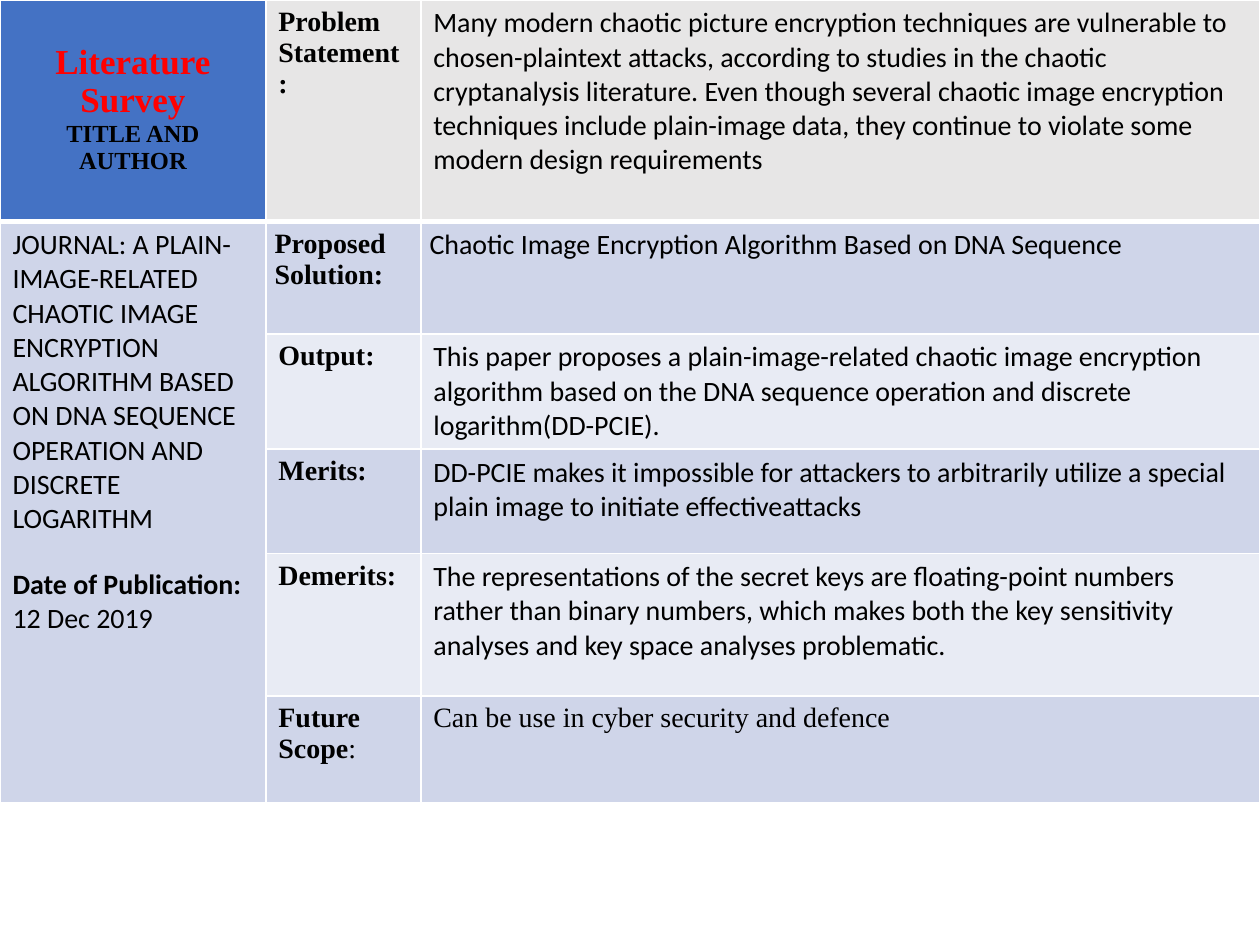
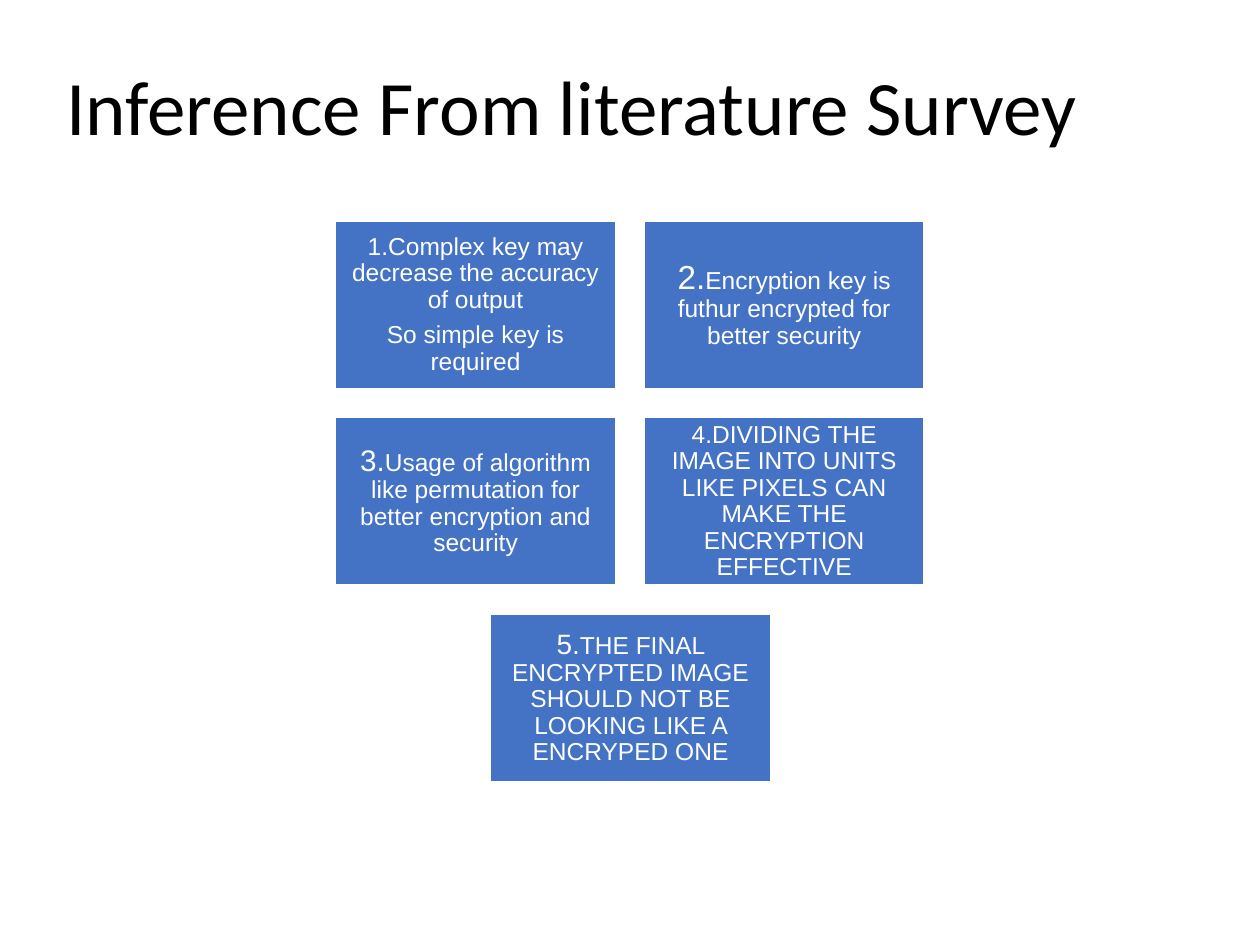
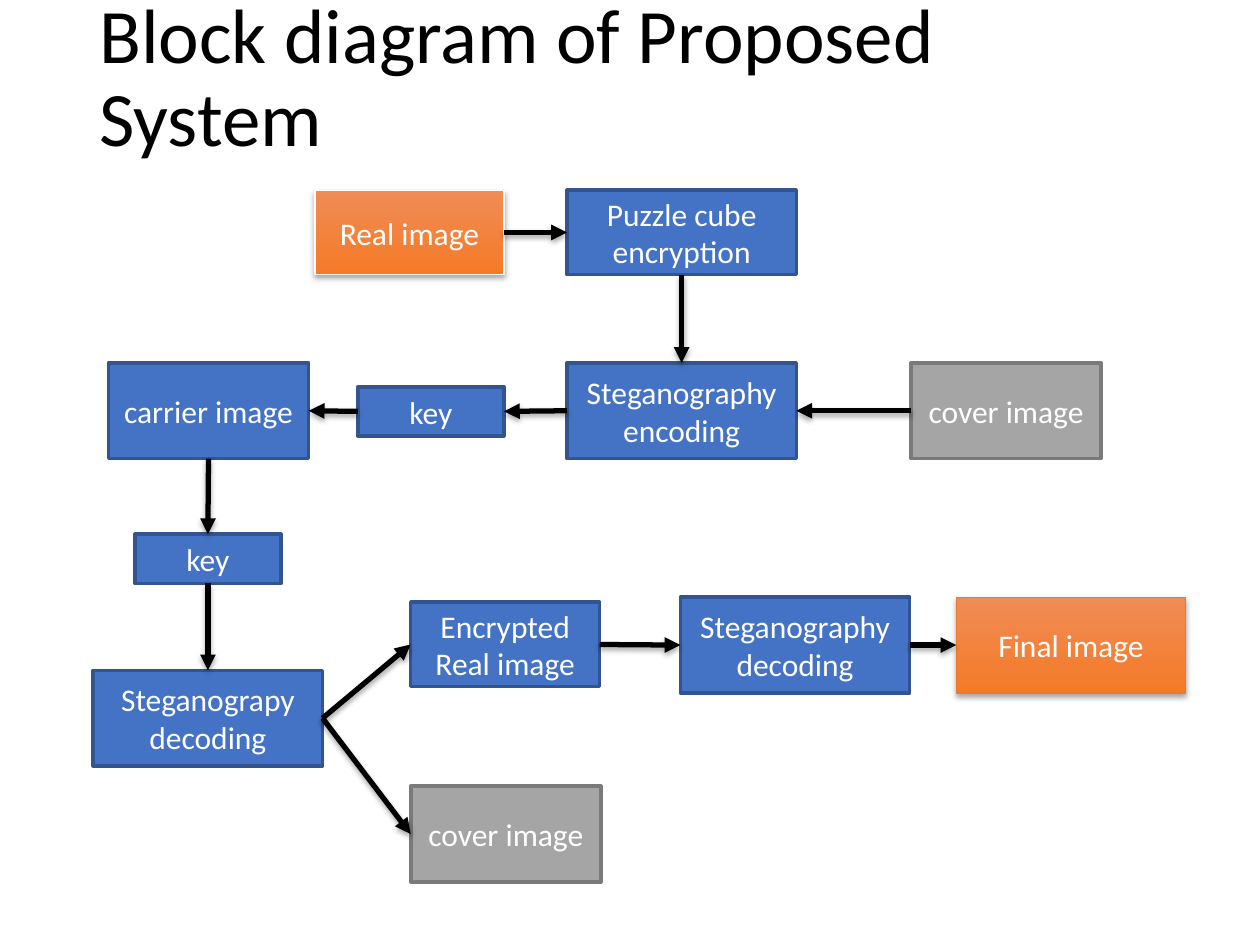
from dataclasses import dataclass

from lxml.etree import SubElement
from pptx import Presentation
from pptx.dml.color import RGBColor
from pptx.enum.shapes import MSO_CONNECTOR as Connector, MSO_SHAPE as Shape
from pptx.enum.text import MSO_ANCHOR as Anchor, PP_ALIGN as Align
from pptx.oxml.ns import qn
from pptx.util import Emu, Pt

EMU_PER_PX = 9144  # 100 px to the inch
TOP, LEFT, BOTTOM, RIGHT = range(4)  # connection sites of a rectangle


def px(length):
    return Emu(length * EMU_PER_PX)


def rgb(color):
    return RGBColor.from_string(color)


@dataclass(frozen=True)
class Theme:
    sans: str = "Calibri"
    serif: str = "Times New Roman"
    card_font: str = "Arial"
    black: str = "000000"
    white: str = "FFFFFF"
    red: str = "FF0000"
    blue: str = "4472C4"
    blue_edge: str = "325491"
    gray: str = "A5A5A5"
    gray_edge: str = "7A7A7A"
    orange: tuple = ("F08C56", "F57A27")
    orange_edge: str = "EC792B"
    header: str = "E7E6E6"
    bands: tuple = ("CFD5E9", "E8EBF4")
    title_size: int = 44
    heading_size: int = 20
    block_size: int = 18
    body_size: int = 16
    small_size: int = 14
    tight: float = 0.9


THEME = Theme()


@dataclass(frozen=True)
class Span:
    text: str
    size: int = THEME.body_size
    font: str = THEME.sans
    color: str = THEME.black
    bold: bool = False


def label(text):
    return Span(text, font=THEME.serif, bold=True)


class Deck:
    def __init__(self, theme):
        self.theme = theme
        self.prs = Presentation()
        self.prs.slide_width, self.prs.slide_height = px(1000), px(750)
        self.slide = None

    def new_slide(self):
        self.slide = self.prs.slides.add_slide(self.prs.slide_layouts[6])

    def set_text(self, frame, paragraphs, align=Align.LEFT, spacing=None, after=None):
        """Fill a text frame; each paragraph is a list of spans."""
        frame.word_wrap = True
        for index, spans in enumerate(paragraphs):
            paragraph = frame.paragraphs[0] if index == 0 else frame.add_paragraph()
            paragraph.text = spans[0].text
            for span in spans[1:]:
                paragraph.add_run().text = span.text
            paragraph.alignment = align
            if spacing:
                paragraph.line_spacing = spacing
            if after:
                paragraph.space_after = Pt(after)
            for run, span in zip(paragraph.runs, spans):
                run.font.name, run.font.size = span.font, Pt(span.size)
                run.font.bold = span.bold
                run.font.color.rgb = rgb(span.color)

    def title(self, text, left, top):
        frame = self.slide.shapes.add_textbox(px(left), px(top), px(862), px(145)).text_frame
        frame.vertical_anchor = Anchor.MIDDLE
        self.set_text(frame, [[Span(text, self.theme.title_size)]], spacing=self.theme.tight)

    def box(self, bounds, paragraphs, fill, edge, edge_width, inset=None, **text_style):
        box = self.slide.shapes.add_shape(Shape.RECTANGLE, *map(px, bounds))
        box.shadow.inherit = False
        if isinstance(fill, tuple):
            box.fill.gradient()
            box.fill.gradient_angle = 270
            for stop, color in zip(box.fill.gradient_stops, fill):
                stop.color.rgb = rgb(color)
            self.cast_shadow(box)
        else:
            box.fill.solid()
            box.fill.fore_color.rgb = rgb(fill)
        box.line.color.rgb, box.line.width = rgb(edge), Pt(edge_width)
        frame = box.text_frame
        frame.vertical_anchor = Anchor.MIDDLE
        if inset:
            frame.margin_left = frame.margin_right = px(inset)
            frame.margin_top = frame.margin_bottom = px(inset)
        self.set_text(frame, paragraphs, Align.CENTER, **text_style)
        return box

    def cast_shadow(self, shape):
        properties = shape.element.spPr
        effects = properties.find(qn("a:effectLst"))
        if effects is None:
            effects = SubElement(properties, qn("a:effectLst"))
        shadow = SubElement(effects, qn("a:outerShdw"), blurRad="40000", dist="23000",
                            dir="5400000", rotWithShape="0")
        color = SubElement(shadow, qn("a:srgbClr"), val=self.theme.black)
        SubElement(color, qn("a:alpha"), val="35000")

    def arrow(self, source, source_site, target, target_site):
        arrow = self.slide.shapes.add_connector(Connector.STRAIGHT, 0, 0, 0, 0)
        arrow.begin_connect(source, source_site)
        arrow.end_connect(target, target_site)
        arrow.line.color.rgb, arrow.line.width = rgb(self.theme.black), Pt(3)
        SubElement(arrow.element.spPr.find(qn("a:ln")), qn("a:tailEnd"), type="triangle")
        self.cast_shadow(arrow)

    def table(self, columns, rows):
        grid = self.slide.shapes.add_table(
            len(rows), len(columns), 0, 0, px(sum(columns)), px(sum(rows))).table
        for column, width in zip(grid.columns, columns):
            column.width = px(width)
        for row, height in zip(grid.rows, rows):
            row.height = px(height)
        return grid

    def paint_cell(self, cell, fill, thick_side=None):
        cell.fill.solid()
        cell.fill.fore_color.rgb = rgb(fill)
        properties = cell._tc.get_or_add_tcPr()
        for index, side in enumerate(("lnL", "lnR", "lnT", "lnB")):
            width = Pt(3) if side == thick_side else Pt(0.96)
            line = SubElement(properties, qn(f"a:{side}"), w=str(int(width)))
            SubElement(SubElement(line, qn("a:solidFill")), qn("a:srgbClr"), val=self.theme.white)
            properties.insert(index, line)


def survey_slide(deck):
    theme = deck.theme
    deck.new_slide()
    survey = deck.table([211, 123, 666], [176, 89, 89, 83, 113, 85])

    # Header and banded fills
    for row in range(6):
        for column in range(3):
            if row == 0:
                fill = theme.header if column else theme.blue
            else:
                fill = theme.bands[(row - 1) % 2 if column else 0]
            deck.paint_cell(survey.cell(row, column), fill, {0: "lnB", 1: "lnT"}.get(row))

    # Heading and paper
    heading = survey.cell(0, 0)
    heading.margin_top = px(34)
    deck.set_text(heading.text_frame, [
        [Span("Literature Survey", theme.heading_size, theme.serif, theme.red, True)],
        [Span("TITLE AND AUTHOR", theme.small_size, theme.serif, bold=True)],
    ], Align.CENTER)
    survey.cell(1, 0).merge(survey.cell(5, 0))
    paper = survey.cell(1, 0).text_frame
    deck.set_text(paper, [
        [Span("JOURNAL: A PLAIN-IMAGE-RELATED CHAOTIC IMAGE ENCRYPTION ALGORITHM BASED ON "
              "DNA SEQUENCE OPERATION AND DISCRETE LOGARITHM")],
        [Span("Date of Publication:", bold=True)],
        [Span("12 Dec 2019")],
    ])
    paper.paragraphs[0].space_after = Pt(18)

    # Findings
    findings = [
        ([label("Problem Statement:")],
         Span("Many modern chaotic picture encryption techniques are vulnerable to "
              "chosen-plaintext attacks, according to studies in the chaotic cryptanalysis "
              "literature. Even though several chaotic image encryption techniques include "
              "plain-image data, they continue to violate some modern design requirements")),
        ([label("Proposed Solution:")],
         Span("Chaotic Image Encryption Algorithm Based on DNA Sequence")),
        ([label("Output:")],
         Span("This paper proposes a plain-image-related chaotic image encryption algorithm "
              "based on the DNA sequence operation and discrete logarithm(DD-PCIE).")),
        ([label("Merits:")],
         Span("DD-PCIE makes it impossible for attackers to arbitrarily utilize a special "
              "plain image to initiate effectiveattacks")),
        ([label("Demerits:")],
         Span("The representations of the secret keys are floating-point numbers rather than "
              "binary numbers, which makes both the key sensitivity analyses and key space "
              "analyses problematic.")),
        ([label("Future Scope"), Span(":", font=theme.serif)],
         Span("Can be use in cyber security and defence", font=theme.serif)),
    ]
    for row, (topic, finding) in enumerate(findings):
        deck.set_text(survey.cell(row, 1).text_frame, [topic])
        deck.set_text(survey.cell(row, 2).text_frame, [[finding]])
    for column in (1, 2):
        solution = survey.cell(1, column)
        solution.margin_left = solution.margin_right = px(7)


def inference_slide(deck):
    theme = deck.theme
    deck.new_slide()
    deck.title("Inference From literature Survey", 43, 15)

    # Numbered cards: two per row, the last one centred
    inferences = [
        ("1.", 14, ["Complex key may decrease the accuracy of output", "So simple key is required"]),
        ("2.", 19, ["Encryption key is futhur encrypted for better security"]),
        ("3.", 17, ["Usage of algorithm like permutation for better encryption and security"]),
        ("4.", 14, ["DIVIDING THE IMAGE INTO UNITS LIKE PIXELS CAN MAKE THE ENCRYPTION EFFECTIVE"]),
        ("5.", 16, ["THE FINAL ENCRYPTED IMAGE SHOULD NOT BE LOOKING LIKE A ENCRYPED ONE"]),
    ]
    width, height, left, top, step_x, step_y = 223, 134, 266, 175, 245, 156
    for index, (number, number_size, lines) in enumerate(inferences):
        row, column = divmod(index, 2)
        x = 389 if index == len(inferences) - 1 else left + column * step_x
        paragraphs = [[Span(line, theme.small_size, theme.card_font, theme.white)] for line in lines]
        paragraphs[0].insert(0, Span(number, number_size, theme.card_font, theme.white))
        deck.box((x, top + row * step_y, width, height), paragraphs, theme.blue, theme.white, 1.5,
                 inset=6, spacing=theme.tight, after=5)


def diagram_slide(deck):
    theme = deck.theme
    deck.new_slide()
    deck.title("Block diagram of Proposed System", 69, -9)

    def block(text, bounds, fill=theme.blue, edge=theme.blue_edge, edge_width=2):
        return deck.box(bounds, [[Span(text, theme.block_size, color=theme.white)]],
                        fill, edge, edge_width)

    # Encoding
    real = block("Real image", (250, 151, 150, 67), theme.orange, theme.white, 0.75)
    encryption = block("Puzzle cube encryption", (450, 151, 182, 67))
    encoding = block("Steganography encoding", (450, 288, 182, 76))
    cover_in = block("cover image", (723, 288, 151, 76), theme.gray, theme.gray_edge)
    encoding_key = block("key", (284, 307, 116, 39))
    carrier = block("carrier image", (86, 288, 159, 76))

    # Decoding
    decoding_key = block("key", (107, 424, 116, 39))
    decoding = block("Steganograpy decoding", (74, 532, 182, 76))
    cover_out = block("cover image", (326, 624, 151, 76), theme.gray, theme.gray_edge)
    encrypted = block("Encrypted Real image", (326, 478, 150, 67))
    second_decoding = block("Steganography decoding", (540, 474, 182, 76))
    final = block("Final image", (759, 474, 182, 76), theme.orange, theme.orange_edge, 0.75)

    # Flow
    for flow in [
        (real, RIGHT, encryption, LEFT),
        (encryption, BOTTOM, encoding, TOP),
        (cover_in, LEFT, encoding, RIGHT),
        (encoding, LEFT, encoding_key, RIGHT),
        (encoding_key, LEFT, carrier, RIGHT),
        (carrier, BOTTOM, decoding_key, TOP),
        (decoding_key, BOTTOM, decoding, TOP),
        (decoding, RIGHT, encrypted, LEFT),
        (decoding, RIGHT, cover_out, LEFT),
        (encrypted, RIGHT, second_decoding, LEFT),
        (second_decoding, RIGHT, final, LEFT),
    ]:
        deck.arrow(*flow)


def main():
    deck = Deck(THEME)
    survey_slide(deck)
    inference_slide(deck)
    diagram_slide(deck)
    deck.prs.save("out.pptx")


if __name__ == "__main__":
    main()
